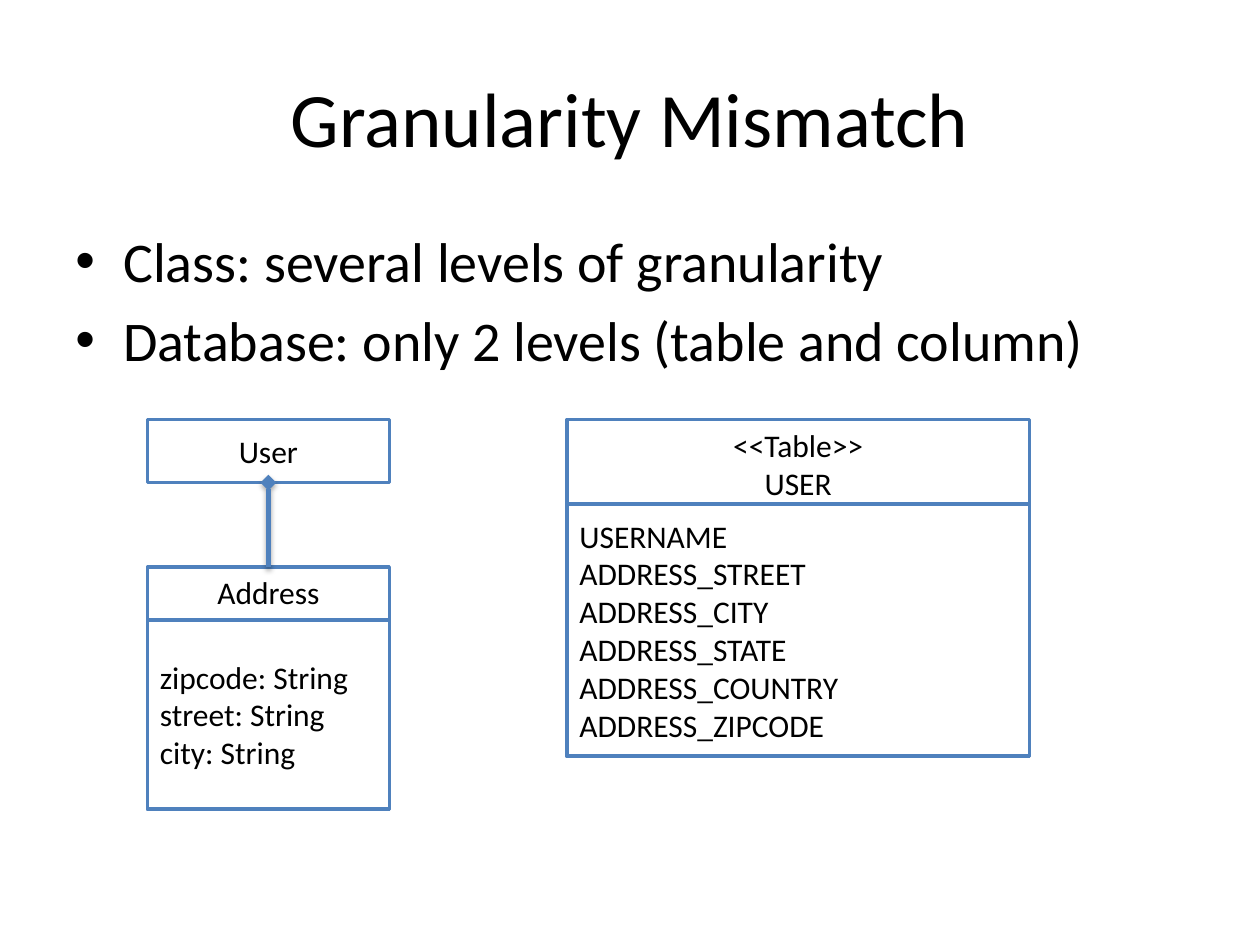
from dataclasses import dataclass

from lxml import etree
from pptx import Presentation
from pptx import util as u
from pptx.dml.color import RGBColor
from pptx.enum import shapes, text
from pptx.oxml import ns

FONT = "Calibri"
BLACK = "000000"
WHITE = "FFFFFF"
BLUE = "4F81BD"


@dataclass(frozen=True)
class TextBlock:
    left: float
    top: float
    width: float
    height: float
    lines: tuple[str, ...]
    size: int = 18
    align: text.PP_ALIGN = text.PP_ALIGN.LEFT
    anchor: text.MSO_ANCHOR = text.MSO_ANCHOR.MIDDLE
    bulleted: bool = False

    def bounds(self) -> tuple[u.Length, ...]:
        return tuple(map(u.Inches, (self.left, self.top, self.width, self.height)))


def color(value: str) -> RGBColor:
    return RGBColor.from_string(value)


def add_child(parent, tag: str, **attributes):
    return etree.SubElement(parent, ns.qn(tag), attributes)


def add_bullet(paragraph) -> None:
    properties = paragraph._p.get_or_add_pPr()
    properties.set("marL", str(u.Inches(0.38)))
    properties.set("indent", str(u.Inches(-0.38)))
    spacing = add_child(properties, "a:spcBef")
    add_child(spacing, "a:spcPct", val="20000")
    add_child(properties, "a:buFont", typeface="Arial")
    add_child(properties, "a:buChar", char="•")


def write_text(shape, block: TextBlock) -> None:
    frame = shape.text_frame
    frame.word_wrap = True
    frame.vertical_anchor = block.anchor
    frame.text = "\n".join(block.lines)
    for paragraph in frame.paragraphs:
        if block.bulleted:
            add_bullet(paragraph)
        paragraph.alignment = block.align
        paragraph.font.name = FONT
        paragraph.font.size = u.Pt(block.size)
        paragraph.font.color.rgb = color(BLACK)


def add_text(slide, block: TextBlock) -> None:
    write_text(slide.shapes.add_textbox(*block.bounds()), block)


def add_box(slide, block: TextBlock):
    shape = slide.shapes.add_shape(shapes.MSO_SHAPE.RECTANGLE, *block.bounds())
    shape.shadow.inherit = False
    shape.fill.solid()
    shape.fill.fore_color.rgb = color(WHITE)
    shape.line.color.rgb = color(BLUE)
    shape.line.width = u.Pt(2)
    write_text(shape, block)
    return shape


def add_composition(slide, owner, part) -> None:
    connector = slide.shapes.add_connector(shapes.MSO_CONNECTOR.STRAIGHT, 0, 0, 0, 0)
    connector.begin_connect(owner, 2)
    connector.end_connect(part, 0)
    connector.line.color.rgb = color(BLUE)
    connector.line.width = u.Pt(3)
    add_child(connector.line._get_or_add_ln(), "a:headEnd", type="diamond")
    effects = add_child(connector._element.spPr, "a:effectLst")
    shadow = add_child(
        effects,
        "a:outerShdw",
        blurRad=str(u.Pt(3.1)),
        dist=str(u.Pt(1.8)),
        dir="5400000",
        rotWithShape="0",
    )
    shade = add_child(shadow, "a:srgbClr", val=BLACK)
    add_child(shade, "a:alpha", val="35000")


CENTER = text.PP_ALIGN.CENTER
TOP = text.MSO_ANCHOR.TOP

TITLE = TextBlock(0.5, 0.3, 9, 1.25, ("Granularity Mismatch",), 44, CENTER)
BODY = TextBlock(
    0.5, 1.75, 9, 1.33,
    (
        "Class: several levels of granularity",
        "Database: only 2 levels (table and column)",
    ),
    size=32, anchor=TOP, bulleted=True,
)
USER = TextBlock(1.17, 3.33, 1.92, 0.5, ("User",), align=CENTER)
ADDRESS = TextBlock(1.17, 4.5, 1.92, 1.92, ("Address",), align=CENTER, anchor=TOP)
ADDRESS_FIELDS = TextBlock(
    1.17, 4.92, 1.92, 1.5,
    ("zipcode: String", "street: String", "city: String"),
)
TABLE = TextBlock(
    4.5, 3.33, 3.67, 2.67, ("<<Table>>", "USER"), align=CENTER, anchor=TOP
)
TABLE_COLUMNS = TextBlock(
    4.5, 4, 3.67, 2,
    (
        "USERNAME",
        "ADDRESS_STREET",
        "ADDRESS_CITY",
        "ADDRESS_STATE",
        "ADDRESS_COUNTRY",
        "ADDRESS_ZIPCODE",
    ),
)


def main() -> None:
    presentation = Presentation()
    presentation.slide_width = u.Inches(10)
    presentation.slide_height = u.Inches(7.5)
    slide = presentation.slides.add_slide(presentation.slide_layouts[6])

    for block in (TITLE, BODY):
        add_text(slide, block)

    user = add_box(slide, USER)
    address = add_box(slide, ADDRESS)
    add_composition(slide, user, address)
    for block in (ADDRESS_FIELDS, TABLE, TABLE_COLUMNS):
        add_box(slide, block)

    presentation.save("out.pptx")


if __name__ == "__main__":
    main()
